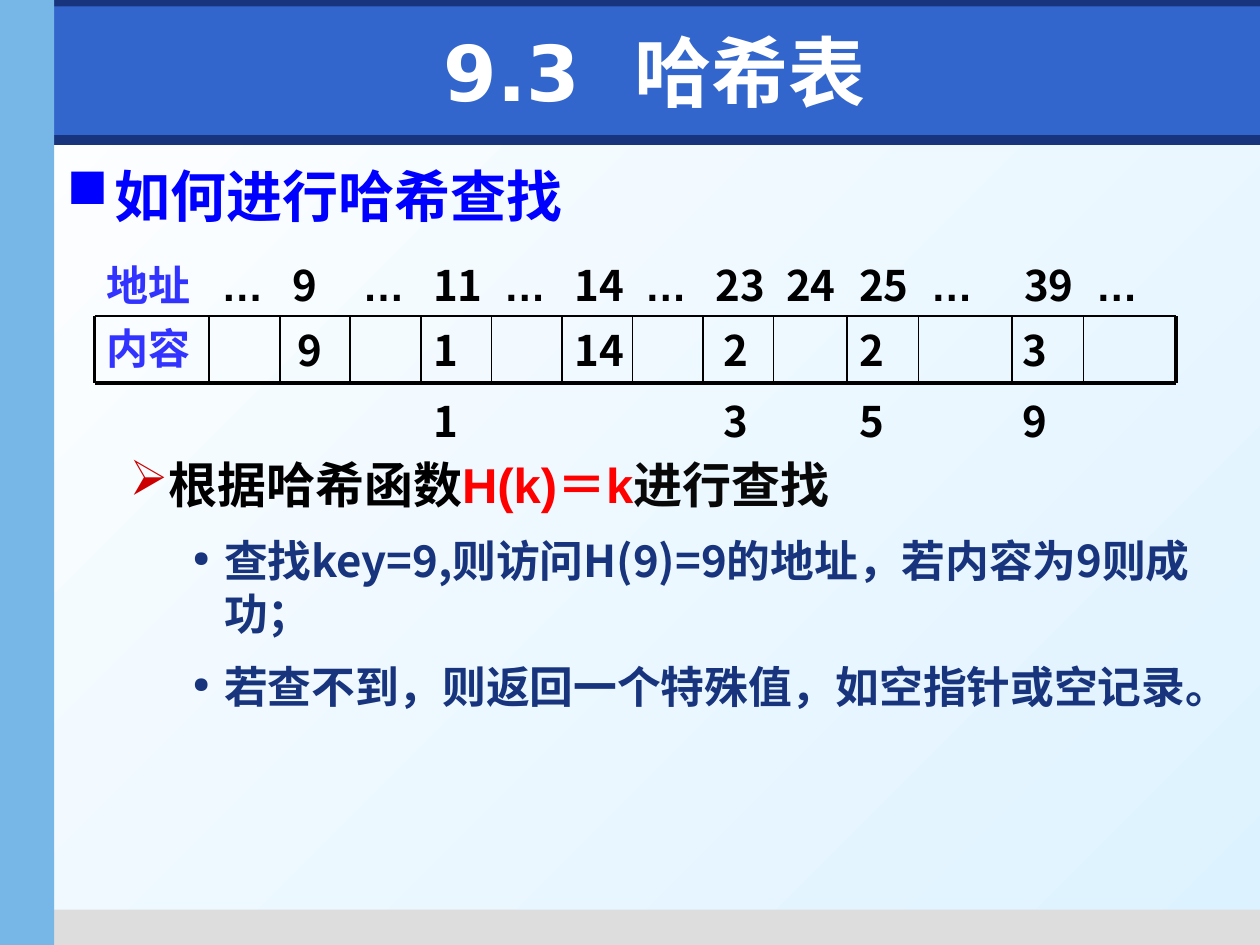
"""Build the slide on hash table lookup."""
from lxml.etree import SubElement
from pptx import Presentation
from pptx.dml.color import RGBColor
from pptx.enum.shapes import MSO_CONNECTOR, MSO_SHAPE
from pptx.enum.text import MSO_ANCHOR, PP_ALIGN
from pptx.oxml.ns import qn
from pptx.util import Inches, Pt

WHITE = RGBColor(0xFF, 0xFF, 0xFF)
BLACK = RGBColor(0x00, 0x00, 0x00)
NEAR_BLACK = RGBColor(0x08, 0x08, 0x08)
PALE_BLUE = RGBColor(0xDD, 0xF2, 0xFF)
NAVY = RGBColor(0x17, 0x34, 0x7D)
GREY = RGBColor(0xDD, 0xDD, 0xDD)
BANNER_BLUE = RGBColor(0x33, 0x66, 0xCC)
SKY_BLUE = RGBColor(0x77, 0xB7, 0xE7)
LABEL_BLUE = RGBColor(0x33, 0x33, 0xFF)
HEADING_BLUE = RGBColor(0x00, 0x00, 0xFF)
RED = RGBColor(0xFF, 0x00, 0x00)
DARK_RED = RGBColor(0xCC, 0x00, 0x00)
CJK_FONT = "Noto Sans CJK SC"


def write(paragraph, text, size=24, font=CJK_FONT, color=BLACK):
    run = paragraph.add_run()
    run.text = text
    run.font.size = Pt(size)
    run.font.bold = True
    run.font.name = font
    run.font.color.rgb = color
    SubElement(run.font._element, qn("a:ea"), typeface=CJK_FONT)


def add_text_frame(left, top, width, height):
    box = slide.shapes.add_textbox(Inches(left), Inches(top), Inches(width), Inches(height))
    box.text_frame.word_wrap = True
    return box.text_frame


presentation = Presentation()
presentation.slide_width = Inches(10)
presentation.slide_height = Inches(7.5)
slide = presentation.slides.add_slide(presentation.slide_layouts[5])

background = slide.background.fill
background.gradient()
background.gradient_angle = 315
for stop, position, color in zip(background.gradient_stops, (0, 1), (WHITE, PALE_BLUE)):
    stop.position = position
    stop.color.rgb = color

bands = [
    (0.04, 1.07, 9.96, 0.08, NAVY),
    (0.35, 7.22, 9.65, 0.28, GREY),
    (0, 0, 10, 0.21, NAVY),
    (0.43, 0.05, 9.57, 1.02, BANNER_BLUE),
    (0, 0, 0.43, 7.5, SKY_BLUE),
]
for left, top, width, height, color in bands:
    band = slide.shapes.add_shape(
        MSO_SHAPE.RECTANGLE, Inches(left), Inches(top), Inches(width), Inches(height)
    )
    band.shadow.inherit = False
    band.fill.solid()
    band.fill.fore_color.rgb = color
    band.line.fill.background()

title = slide.shapes.title
title.left, title.top = Inches(0.59), Inches(0.13)
title.width, title.height = Inches(9.21), Inches(0.87)
title.text_frame.vertical_anchor = MSO_ANCHOR.MIDDLE
title_paragraph = title.text_frame.paragraphs[0]
title_paragraph.alignment = PP_ALIGN.CENTER
write(title_paragraph, "9.3  哈希表", size=44, font="DejaVu Sans", color=WHITE)
slide.shapes._spTree.remove(title._element)
slide.shapes._spTree.append(title._element)

heading = {"size": 32, "font": "Arial", "color": HEADING_BLUE}
rule = {"size": 28}
detail = {"size": 25, "color": NAVY}
body_items = [
    (0, 0.38, 0.38, 0, "■", HEADING_BLUE, 100, [("如何进行哈希查找", heading)]),
    (1, 0.81, 0.31, 129, "➢", DARK_RED, 100, [
        ("根据哈希函数", rule),
        ("H(k)＝k", {"size": 28, "font": "Arial", "color": RED}),
        ("进行查找", {"size": 28, "color": NEAR_BLACK}),
    ]),
    (2, 1.25, 0.25, 12, "●", NAVY, 50, [
        ("查找key=9,则访问H(9)=9的地址，若内容为9则成功；", detail),
    ]),
    (2, 1.25, 0.25, 12, "●", NAVY, 50, [
        ("若查不到，则返回一个特殊值，如空指针或空记录。", detail),
    ]),
]
body = add_text_frame(0.43, 1.23, 9.37, 5.9)
for index, (level, margin, hanging, space, bullet, color, percent, runs) in enumerate(body_items):
    paragraph = body.add_paragraph() if index else body.paragraphs[0]
    paragraph.level = level
    paragraph.space_before = Pt(space)
    properties = paragraph._p.get_or_add_pPr()
    properties.set("marL", str(Inches(margin)))
    properties.set("indent", str(-Inches(hanging)))
    bullet_color = SubElement(properties, qn("a:buClr"))
    SubElement(bullet_color, qn("a:srgbClr"), val=str(color))
    SubElement(properties, qn("a:buSzPct"), val=str(percent * 1000))
    SubElement(properties, qn("a:buChar"), char=bullet)
    for text, text_format in runs:
        write(paragraph, text, **text_format)

row_top, row_bottom = 2.51, 3.04
column_edges = [0.75, 1.66, 2.22, 2.78, 3.34, 3.9, 4.46, 5.02, 5.58, 6.14,
                6.72, 7.29, 8.03, 8.6, 9.33]
left_edge, right_edge = column_edges[0], column_edges[-1]

for label, top in (("地址", 2.01), ("内容", row_top)):
    frame = add_text_frame(left_edge, top, 0.91, 0.5)
    write(frame.paragraphs[0], label, color=LABEL_BLUE)

addresses = ["…", "9", "…", "11", "…", "14", "…", "23", "24", "25", "…", "39", "…"]
for left, right, address in zip(column_edges[1:], column_edges[2:], addresses):
    frame = add_text_frame(left, 2.01, right - left + 0.1, 0.5)
    write(frame.paragraphs[0], address, font="Arial" if address == "…" else CJK_FONT)

grid_lines = [
    (edge, row_top, edge, row_bottom, 2.25 if edge in (left_edge, right_edge) else 1)
    for edge in column_edges
]
grid_lines.append((left_edge, row_top, right_edge, row_top, 1))
grid_lines.append((left_edge, row_bottom, right_edge, row_bottom, 2.25))
for start_x, start_y, end_x, end_y, weight in grid_lines:
    line = slide.shapes.add_connector(
        MSO_CONNECTOR.STRAIGHT, Inches(start_x), Inches(start_y), Inches(end_x), Inches(end_y)
    )
    line.line.color.rgb = BLACK
    line.line.width = Pt(weight)
    SubElement(line._element.spPr, qn("a:effectLst"))

contents = [("9", 2.26, 0.37), ("11", 3.34, 0.54), ("14", 4.46, 0.7),
            ("23", 5.64, 0.54), ("25", 6.72, 0.54), ("39", 8.02, 0.54)]
for content, left, width in contents:
    frame = add_text_frame(left, 2.37, width, 0.67)
    frame.paragraphs[0].line_spacing = 1.4
    write(frame.paragraphs[0], content)

presentation.save("out.pptx")
